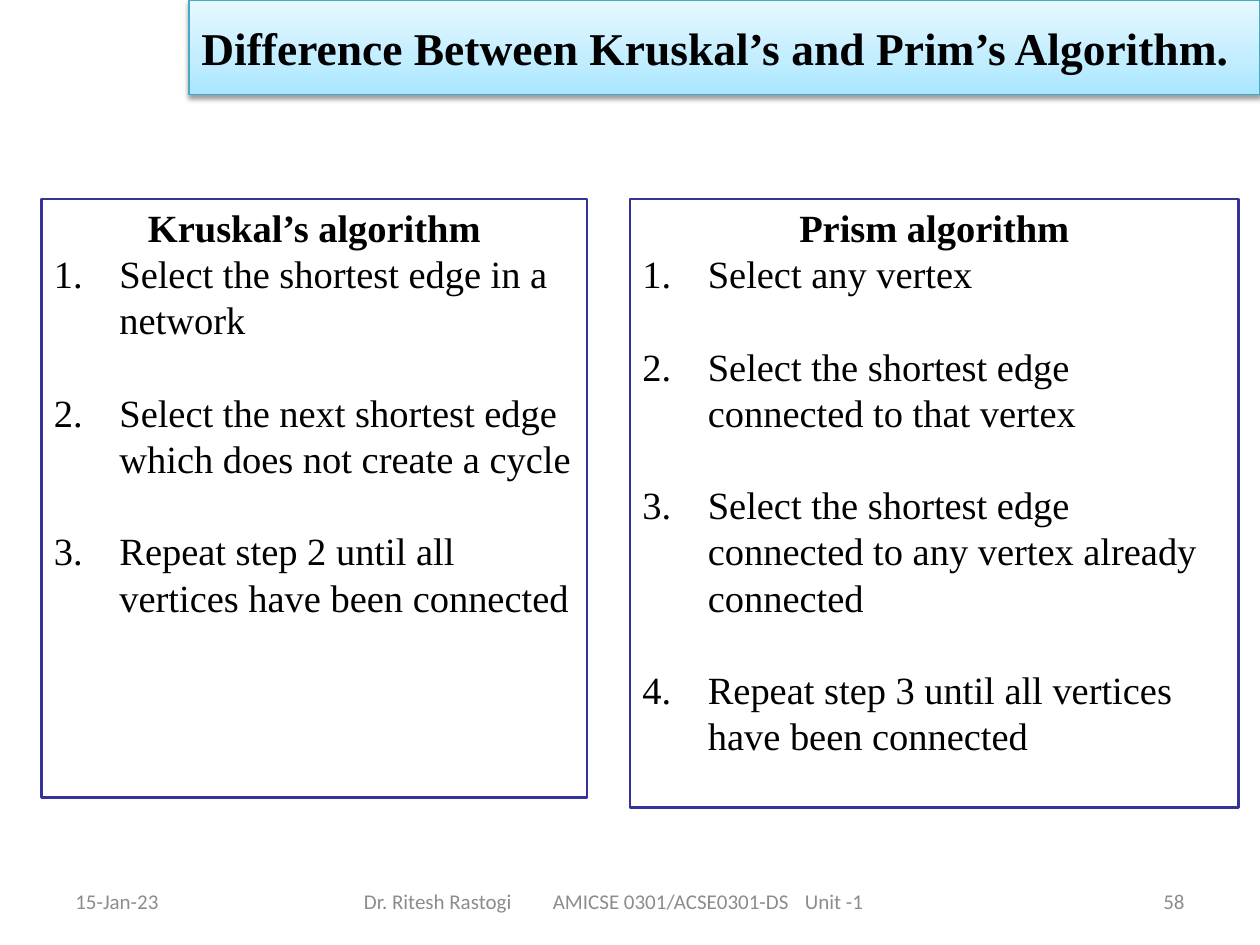
import copy

import pptx
import pptx.dml.color
import pptx.enum.shapes
import pptx.enum.text
import pptx.oxml.ns
import pptx.util
from lxml import etree

RGB = pptx.dml.color.RGBColor
Inches, Pt = pptx.util.Inches, pptx.util.Pt
ALIGN = pptx.enum.text.PP_ALIGN
ANCHOR = pptx.enum.text.MSO_ANCHOR
qn = pptx.oxml.ns.qn

# Content
TITLE = "Difference Between Kruskal’s and Prim’s Algorithm."
PANELS = [
    ("Kruskal’s algorithm", [
        "Select the shortest edge in a network",
        "Select the next shortest edge which does not create a cycle",
        "Repeat step 2 until all vertices have been connected",
    ]),
    ("Prism algorithm", [
        "Select any vertex",
        "Select the shortest edge connected to that vertex",
        "Select the shortest edge connected to any vertex already connected",
        "Repeat step 3 until all vertices have been connected",
    ]),
]
DATE, NUMBER = "15-Jan-23", "58"
CREDITS = ["Dr. Ritesh Rastogi", "AMICSE 0301/ACSE0301-DS", "Unit -1"]

# Style
BLACK, GREY = RGB(0, 0, 0), RGB(0x8C, 0x8C, 0x8C)
NAVY, TEAL = RGB(0x33, 0x33, 0x99), RGB(0x46, 0xAA, 0xC5)
TITLE_STOPS = [(0, RGB(0xA7, 0xE6, 0xFF)), (0.35, RGB(0xC1, 0xED, 0xFF)),
               (1, RGB(0xE7, 0xF8, 0xFF))]
SERIF, SANS = "Times New Roman", "Calibri"

# Layout, in inches
WIDTH, HEIGHT = 10, 7.5
TITLE_LEFT, TITLE_HEIGHT = 0.15 * WIDTH, 0.1 * HEIGHT
PANEL_TOP = 1.58
PANEL_BOXES = [(0.33, 4.33, 4.75), (5, 4.83, 4.83)]  # left, width, height
HANG = Inches(0.52)
LINE = Pt(26.4)
FOOT_TOP, FOOT_HEIGHT, MARGIN, FOOT_SIDE, FOOT_MIDDLE = 6.95, 0.4, 0.5, 2.33, 5.5
CREDIT_STOPS = [0.54, 1.97, 4.29]

prs = pptx.Presentation()
prs.slide_width, prs.slide_height = Inches(WIDTH), Inches(HEIGHT)
s = prs.slides.add_slide(prs.slide_layouts[6])


def add_run(p, text, font, size, color, bold=False):
    r = p.add_run()
    r.text = text
    r.font.name, r.font.size, r.font.bold = font, Pt(size), bold
    r.font.color.rgb = color


def add_box(left, top, width, height, line, weight):
    sp = s.shapes.add_shape(pptx.enum.shapes.MSO_SHAPE.RECTANGLE,
                            *map(Inches, (left, top, width, height)))
    sp.fill.background()
    sp.line.color.rgb, sp.line.width = line, Pt(weight)
    sp.shadow.inherit = False
    sp.text_frame.word_wrap = True
    return sp


def add_footer(left, width, text, align):
    tf = s.shapes.add_textbox(*map(Inches, (left, FOOT_TOP, width, FOOT_HEIGHT))).text_frame
    tf.word_wrap, tf.vertical_anchor = True, ANCHOR.MIDDLE
    p = tf.paragraphs[0]
    p.alignment = align
    add_run(p, text, SANS, 12, GREY)
    return p


def hang_indent(p):
    pPr = p._p.get_or_add_pPr()
    pPr.set("marL", str(HANG))
    pPr.set("indent", str(-HANG))
    return pPr


# Footer: date, credits on tab stops, slide number
add_footer(MARGIN, FOOT_SIDE, DATE, ALIGN.LEFT)
p = add_footer((WIDTH - FOOT_MIDDLE) / 2, FOOT_MIDDLE, "\t".join(CREDITS), ALIGN.LEFT)
pPr = p._p.get_or_add_pPr()
pPr.set("marL", str(Inches(CREDIT_STOPS[0])))
pPr.set("indent", "0")
tabs = etree.SubElement(pPr, qn("a:tabLst"))
for stop in CREDIT_STOPS[1:]:
    etree.SubElement(tabs, qn("a:tab"), pos=str(Inches(stop)), algn="l")
add_footer(WIDTH - MARGIN - FOOT_SIDE, FOOT_SIDE, NUMBER, ALIGN.RIGHT)

# Title bar: gradient rising from the bottom, soft shadow below
sp = add_box(TITLE_LEFT, 0, WIDTH - TITLE_LEFT, TITLE_HEIGHT, TEAL, 0.75)
sp.fill.gradient()
sp.fill.gradient_angle = 90
stops = sp._element.spPr.find(".//" + qn("a:gsLst"))
stops.append(copy.deepcopy(stops[0]))
for stop, (position, color) in zip(sp.fill.gradient_stops, TITLE_STOPS):
    stop.position, stop.color.rgb = position, color
shadow = etree.SubElement(sp._element.spPr.find(qn("a:effectLst")), qn("a:outerShdw"),
                          blurRad=str(Pt(3.1)), dist=str(Pt(1.6)), dir="5400000",
                          rotWithShape="0")
tint = etree.SubElement(shadow, qn("a:srgbClr"), val=str(BLACK))
etree.SubElement(tint, qn("a:alpha"), val="38000")
sp.text_frame.vertical_anchor = ANCHOR.MIDDLE
p = sp.text_frame.paragraphs[0]
p.alignment = ALIGN.LEFT
add_run(p, TITLE, SERIF, 26, BLACK, True)

# Two panels of numbered steps
for (heading, steps), (left, width, height) in zip(PANELS, PANEL_BOXES):
    tf = add_box(left, PANEL_TOP, width, height, NAVY, 1.5).text_frame
    tf.vertical_anchor = ANCHOR.TOP
    tf.margin_left = tf.margin_right = Inches(0.1)
    tf.margin_top = tf.margin_bottom = Inches(0.04)
    p = tf.paragraphs[0]
    p.alignment, p.line_spacing = ALIGN.CENTER, LINE
    hang_indent(p)
    add_run(p, heading, SERIF, 22, BLACK, True)
    for i, step in enumerate(steps):
        p = tf.add_paragraph()
        p.alignment, p.line_spacing = ALIGN.LEFT, LINE
        p.space_before = LINE if i else Pt(0)
        etree.SubElement(hang_indent(p), qn("a:buAutoNum"), type="arabicPeriod")
        add_run(p, step, SERIF, 22, BLACK)

prs.save("out.pptx")
